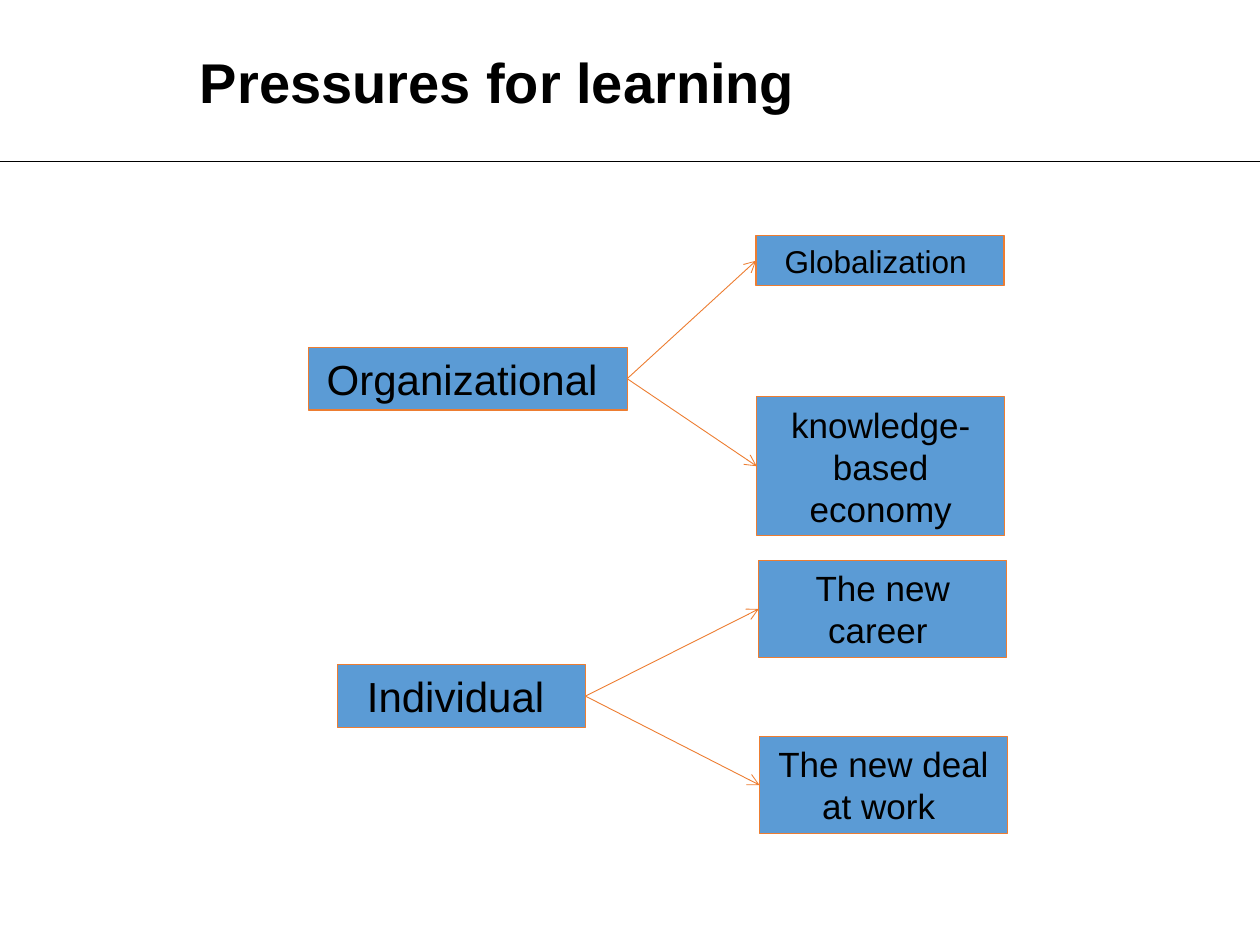
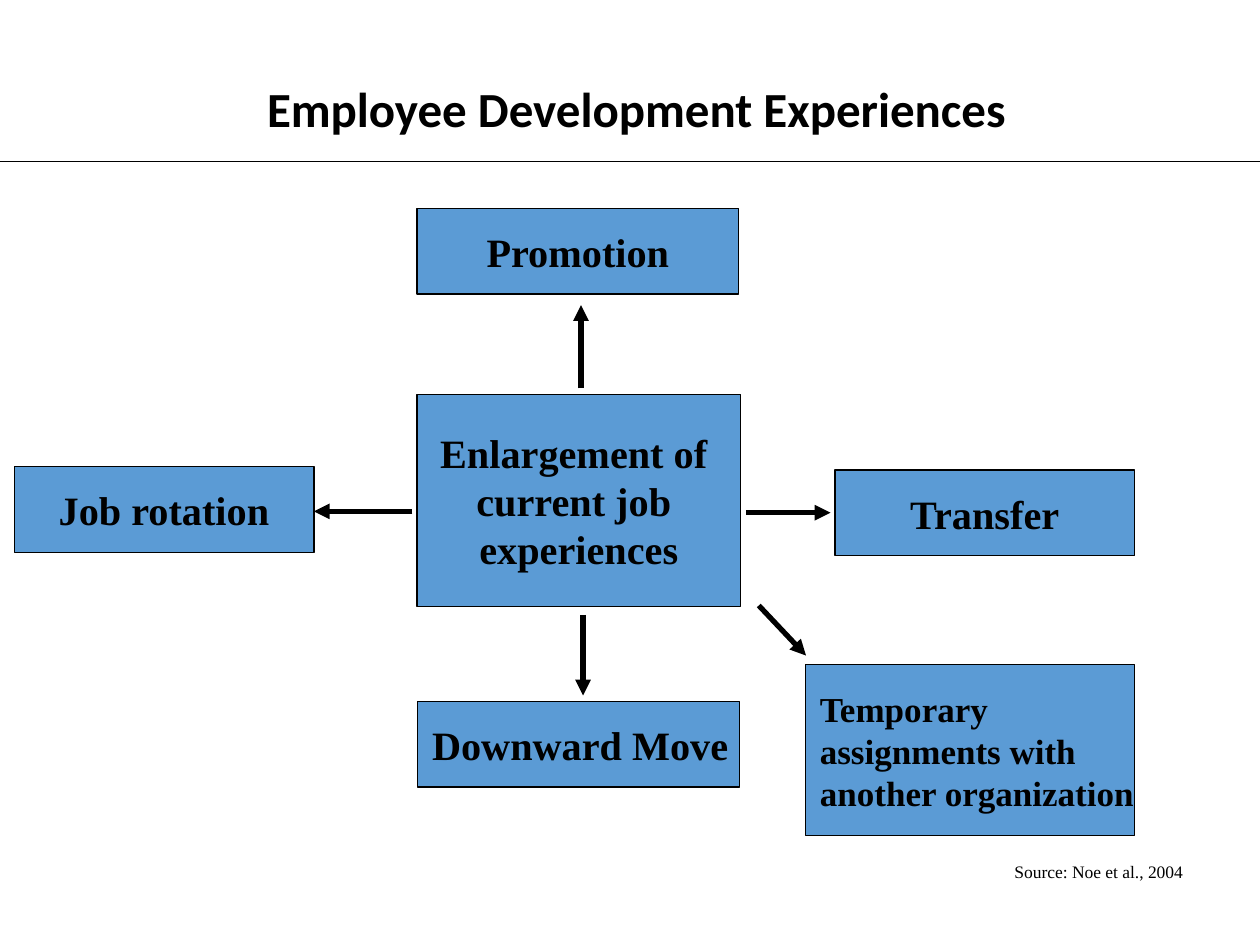
from pptx import Presentation
from pptx.dml.color import RGBColor
from pptx.enum.shapes import MSO_CONNECTOR, MSO_SHAPE
from pptx.enum.text import MSO_ANCHOR, PP_ALIGN
from pptx.oxml.ns import qn
from pptx.util import Pt
from lxml.etree import SubElement

COLORS = {"ink": "000000", "fill": "5B9BD5", "edge": "ED7D31", "page": "FFFFFF"}
SANS, HEAD, SERIF = "Arial", "Calibri", "Times New Roman"
WIDE, HIGH = 720, 540
RULE_Y = 92.2
LEAD = 1.2  # line height of box text, as a share of its size
LEFT, MID = PP_ALIGN.LEFT, PP_ALIGN.CENTER
RIGHT_SITE, LEFT_SITE = 3, 1  # connection sites of a rectangle


def color(name):
    return RGBColor.from_string(COLORS[name])


class Deck:
    def __init__(self):
        self.prs = Presentation()
        self.prs.slide_width, self.prs.slide_height = Pt(WIDE), Pt(HIGH)
        self.slide = None

    def page(self):
        """Start a slide with the shared background and header rule."""
        self.slide = self.prs.slides.add_slide(self.prs.slide_layouts[6])
        back = self.slide.background.fill
        back.solid()
        back.fore_color.rgb = color("page")
        self.line((0, RULE_Y), (WIDE, RULE_Y), "ink", 0.5)

    def label(self, shape, lines, size, font, bold=False, align=MID,
              anchor=MSO_ANCHOR.MIDDLE, wrap=True, pad=(7.2, 3.6), lead=None):
        frame = shape.text_frame
        frame.word_wrap, frame.vertical_anchor = wrap, anchor
        frame.margin_left = frame.margin_right = Pt(pad[0])
        frame.margin_top = frame.margin_bottom = Pt(pad[1])
        for i, words in enumerate(lines):
            para = frame.add_paragraph() if i else frame.paragraphs[0]
            para.alignment = align
            if lead:
                para.line_spacing = lead
            run = para.add_run()
            run.text = words
            run.font.size, run.font.name, run.font.bold = Pt(size), font, bold
            run.font.color.rgb = color("ink")

    def text(self, area, words, size, font, **style):
        shape = self.slide.shapes.add_textbox(*map(Pt, area))
        self.label(shape, [words], size, font, **style)

    def box(self, area, lines, size, font, edge, **style):
        shape = self.slide.shapes.add_shape(MSO_SHAPE.RECTANGLE, *map(Pt, area))
        shape.shadow.inherit = False
        shape.fill.solid()
        shape.fill.fore_color.rgb = color("fill")
        shape.line.color.rgb = color(edge)
        shape.line.width = Pt(0.75)
        self.label(shape, lines, size, font, lead=Pt(LEAD * size), **style)
        return shape

    def line(self, start, end, hue, width, tip=None):
        link = self.slide.shapes.add_connector(
            MSO_CONNECTOR.STRAIGHT, *map(Pt, (*start, *end)))
        link.line.color.rgb = color(hue)
        link.line.width = Pt(width)
        props = link._element.spPr
        if tip:
            SubElement(props.get_or_add_ln(), qn("a:tailEnd"), type=tip)
        SubElement(props, qn("a:effectLst"))
        return link

    def join(self, source, target):
        link = self.line((0, 0), (0, 0), "edge", 0.5, "arrow")
        link.begin_connect(source, RIGHT_SITE)
        link.end_connect(target, LEFT_SITE)


def pressures(deck):
    deck.page()
    deck.text((-27.4, 13, 623.5, 66.2), "Pressures for learning", 32, SANS, bold=True)

    def node(left, top, width, words, size, rows=1):
        area = (left, top, width, rows * LEAD * size + 7.2)
        return deck.box(area, [words], size, SANS, "edge", anchor=MSO_ANCHOR.TOP)

    # Each source, then the pressures it leads to
    wide = 141.8
    trees = [
        ((176.4, 198.4, 182, "Organizational ", 24),
         [(432, 134.6, wide, "Globalization ", 18),
          (432.4, 226.8, wide, "knowledge-based economy", 20, 3)]),
        ((192.8, 379.8, wide, "Individual ", 24),
         [(433.6, 320.4, wide, "The new career ", 20, 2),
          (434, 421, wide, "The new deal at work ", 20, 2)]),
    ]
    for root, leaves in trees:
        source = node(*root)
        for leaf in leaves:
            deck.join(source, node(*leaf))


def growth(deck):
    deck.page()
    deck.text((39.6, 28, 648, 72), "Employee Development Experiences", 28, HEAD,
              bold=True, lead=0.9)

    # Core job and the moves around it
    tall = 49
    boxes = [
        ((238.4, 225.4, 185, 121),
         ["Enlargement of ", "current job ", "experiences"], 23, MID),
        ((238.4, 119, 183.8, tall), ["Promotion"], 23, MID),
        ((238.8, 400.8, 183.8, tall), ["Downward Move"], 23, LEFT),
        ((8.2, 266.6, 171.2, tall), ["Job rotation"], 23, MID),
        ((477.2, 268.6, 171.2, tall), ["Transfer"], 23, MID),
        ((460.4, 379.6, 188, 98),
         ["Temporary", "assignments with", "another organization"], 20, LEFT),
    ]
    pad = (8.1, 4.2)
    for area, lines, size, align in boxes:
        deck.box(area, lines, size, SERIF, "ink", bold=True, align=align,
                 wrap=False, pad=pad)

    # Arrows out of the core
    arrows = [
        ((332, 222), (332, 174.4)),
        ((333.2, 351.4), (333.2, 397.4)),
        ((235.6, 292.2), (179.4, 292.2)),
        ((426.2, 293), (474.6, 293)),
        ((433.6, 346), (460.6, 374.6)),
    ]
    for start, end in arrows:
        deck.line(start, end, "ink", 3, "triangle")

    # Credit
    deck.text((571.6, 487.6, 112.6, 20), "Source: Noe et al., 2004", 10, SERIF,
              align=LEFT, anchor=MSO_ANCHOR.TOP, wrap=False, pad=pad)


def main():
    deck = Deck()
    pressures(deck)
    growth(deck)
    deck.prs.save("out.pptx")


if __name__ == "__main__":
    main()
